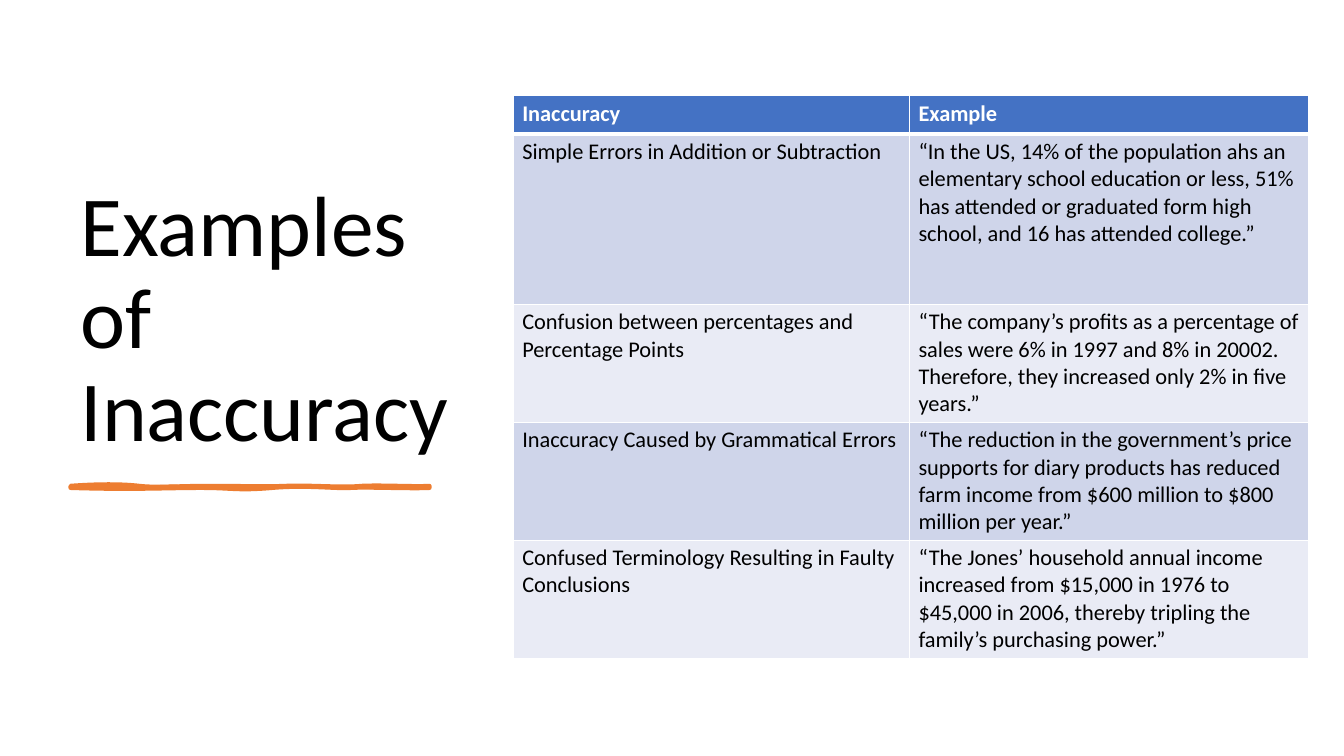
import copy
from dataclasses import dataclass

import lxml.etree
import pptx
import pptx.dml.color
import pptx.enum.text
import pptx.oxml.ns
import pptx.util

Inches = pptx.util.Inches
Color = pptx.dml.color.RGBColor
qn = pptx.oxml.ns.qn
BLACK = Color(0x00, 0x00, 0x00)
WHITE = Color(0xFF, 0xFF, 0xFF)
BLUE = Color(0x44, 0x72, 0xC4)
BANDS = (Color(0xE9, 0xEB, 0xF5), Color(0xCF, 0xD5, 0xEA))
ORANGE = Color(0xED, 0x7D, 0x31)
FONT = "Calibri"
LEFT, TOP = 0.7, 4.82


@dataclass
class Row:
    error: str
    sample: str
    height: float


ROWS = [
    Row("Inaccuracy", "Example", 0.38),
    Row("Simple Errors in Addition or Subtraction",
        "“In the US, 14% of the population ahs an elementary school education or less, "
        "51% has attended or graduated form high school, and 16 has attended college.”", 1.69),
    Row("Confusion between percentages and Percentage Points",
        "“The company’s profits as a percentage of sales were 6% in 1997 and 8% in 20002. "
        "Therefore, they increased only 2% in five years.”", 1.17),
    Row("Inaccuracy Caused by Grammatical Errors",
        "“The reduction in the government’s price supports for diary products has reduced "
        "farm income from $600 million to $800 million per year.”", 1.17),
    Row("Confused Terminology Resulting in Faulty Conclusions",
        "“The Jones’ household annual income increased from $15,000 in 1976 to $45,000 "
        "in 2006, thereby tripling the family’s purchasing power.”", 1.17),
]

EDGE = [
    (0.97, 4.8, 1.21, 4.8, 1.38, 4.82),
    (1.55, 4.84, 1.77, 4.82, 2.09, 4.82),
    (2.41, 4.82, 2.6, 4.83, 2.84, 4.82),
    (3.08, 4.81, 3.39, 4.84, 3.59, 4.82),
    (3.79, 4.81, 4.12, 4.83, 4.26, 4.82),
    (4.26, 4.83, 4.26, 4.84, 4.26, 4.84),
    (4.08, 4.85, 3.64, 4.83, 3.48, 4.84),
    (3.32, 4.85, 3.04, 4.81, 2.7, 4.84),
    (2.35, 4.87, 2.31, 4.84, 1.99, 4.84),
    (1.66, 4.84, 1.32, 4.86, 0.7, 4.84),
    (0.7, 4.84, 0.7, 4.83, 0.7, 4.82),
]
CORE = [
    (1.02, 4.84, 1.1, 4.83, 1.38, 4.82),
    (1.66, 4.81, 1.69, 4.8, 1.99, 4.82),
    (2.28, 4.84, 2.61, 4.83, 2.77, 4.82),
    (2.93, 4.81, 3.27, 4.85, 3.44, 4.82),
    (3.62, 4.8, 3.97, 4.86, 4.26, 4.82),
    (4.26, 4.83, 4.26, 4.83, 4.26, 4.84),
    (4.12, 4.84, 3.72, 4.87, 3.55, 4.84),
    (3.38, 4.82, 3.09, 4.84, 2.77, 4.84),
    (2.44, 4.84, 2.4, 4.83, 2.16, 4.84),
    (1.93, 4.85, 1.79, 4.83, 1.45, 4.84),
    (1.11, 4.85, 0.92, 4.84, 0.7, 4.84),
    (0.7, 4.83, 0.7, 4.83, 0.7, 4.82),
]


def write(frame, text: str, *, size: float, color: Color = BLACK,
          bold: bool = False, space: float | None = None) -> None:
    line = frame.paragraphs[0]
    line.alignment = pptx.enum.text.PP_ALIGN.LEFT
    line.line_spacing = space
    run = line.add_run()
    run.text = text
    run.font.name = FONT
    run.font.size = pptx.util.Pt(size)
    run.font.bold = bold
    run.font.color.rgb = color


def bend(line, curve: tuple[float, ...]) -> None:
    line.tag = qn("a:cubicBezTo")
    for place, (x, y) in enumerate((curve[:2], curve[2:4])):
        point = lxml.etree.Element(qn("a:pt"), x=str(Inches(x - LEFT)), y=str(Inches(y - TOP)))
        line.insert(place, point)


def brush(slide) -> None:
    start = Inches(LEFT), Inches(TOP)
    pen = slide.shapes.build_freeform(*start)
    for curves in (EDGE, CORE):
        pen.move_to(*start) if curves is CORE else None
        pen.add_line_segments([(Inches(c[4]), Inches(c[5])) for c in curves], close=True)
    shape = pen.convert_to_shape()
    shape.shadow.inherit = False
    shape.fill.solid()
    shape.fill.fore_color.rgb = ORANGE
    shape.line.color.rgb = ORANGE
    shape.line.width = pptx.util.Pt(3)
    for line, curve in zip(shape.element.xpath(".//a:lnTo"), EDGE + CORE):
        bend(line, curve)
    edge = shape.element.xpath(".//a:path")[0]
    core = copy.deepcopy(edge)
    edge.addnext(core)
    split = len(EDGE) + 2
    del edge[split:]
    del core[:split]
    edge.set("fill", "none")
    core.set("stroke", "0")


def head(slide) -> None:
    title = slide.shapes.title
    title.left, title.top = Inches(LEFT), Inches(0.7)
    title.width = title.height = Inches(3.91)
    frame = title.text_frame
    frame.word_wrap = True
    frame.auto_size = pptx.enum.text.MSO_AUTO_SIZE.NONE
    frame.vertical_anchor = pptx.enum.text.MSO_ANCHOR.BOTTOM
    write(frame, "Examples of Inaccuracy", size=61, space=0.9)


def rule(cell, side: str, width: float) -> None:
    props = cell._tc.get_or_add_tcPr()
    line = lxml.etree.Element(qn(f"a:ln{side}"), w=str(pptx.util.Pt(width)))
    fill = lxml.etree.SubElement(line, qn("a:solidFill"))
    lxml.etree.SubElement(fill, qn("a:srgbClr"), val=str(WHITE))
    props.insert("LRTB".index(side), line)


def grid(slide, rows: list[Row]) -> None:
    tall = sum(row.height for row in rows)
    table = slide.shapes.add_table(len(rows), 2, Inches(5.09), Inches(0.95),
                                   Inches(7.89), Inches(tall)).table
    for column, width in zip(table.columns, (3.93, 3.96)):
        column.width = Inches(width)
    for index, row in enumerate(rows):
        top = index == 0
        table.rows[index].height = Inches(row.height)
        for cell, text in zip(table.rows[index].cells, (row.error, row.sample)):
            cell.margin_left = cell.margin_right = Inches(0.09)
            cell.margin_top = cell.margin_bottom = Inches(0.04)
            cell.fill.solid()
            cell.fill.fore_color.rgb = BLUE if top else BANDS[index % 2]
            for side in "LRTB":
                rule(cell, side, 3 if top and side == "B" or index == 1 and side == "T" else 1)
            write(cell.text_frame, text, size=16, bold=top, color=WHITE if top else BLACK)


def main() -> None:
    deck = pptx.Presentation()
    deck.slide_width, deck.slide_height = Inches(13.33), Inches(7.5)
    slide = deck.slides.add_slide(deck.slide_layouts[5])
    head(slide)
    brush(slide)
    grid(slide, ROWS)
    deck.save("out.pptx")


if __name__ == "__main__":
    main()
